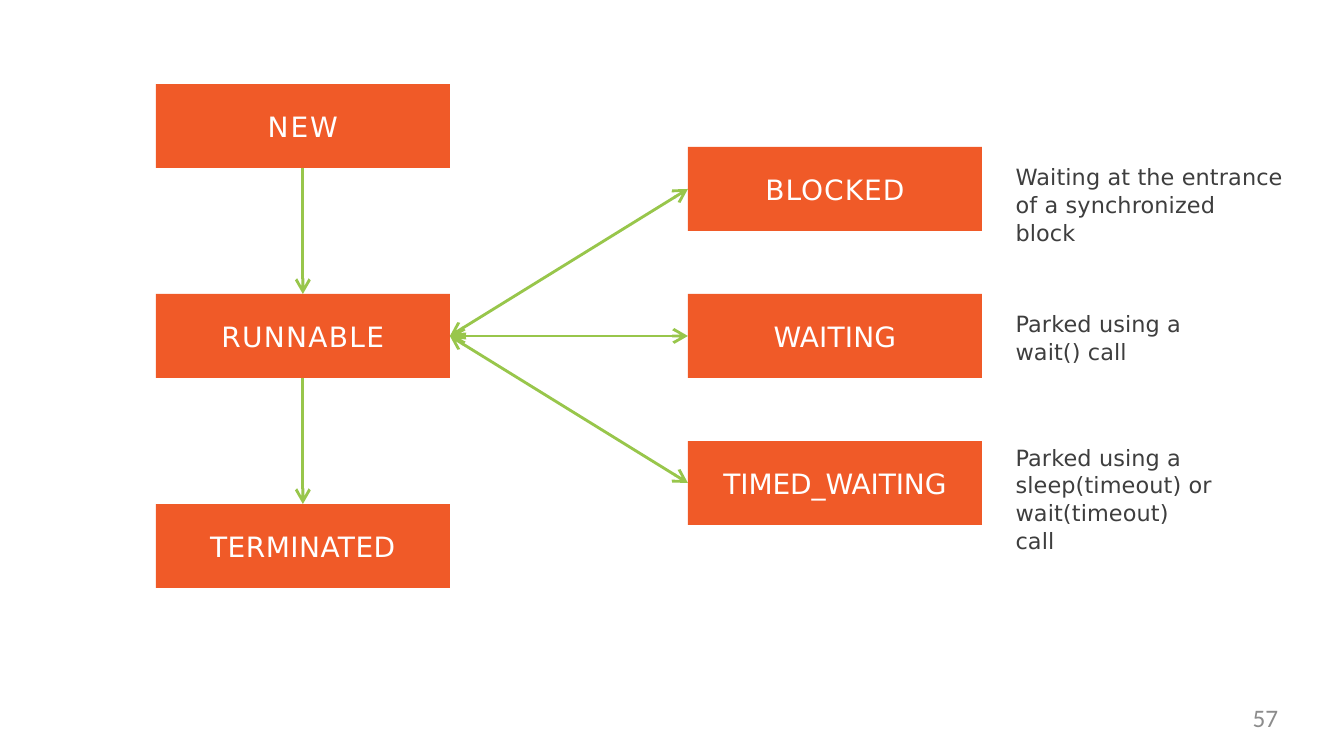
import pptx
import pptx.dml.color
import pptx.enum.shapes
import pptx.enum.text
import pptx.oxml.xmlchemy
import pptx.util

ROWS = 36  # the slide is a grid of 64 by 36 square cells
ALIGN = pptx.enum.text.PP_ALIGN
ANCHOR = pptx.enum.text.MSO_ANCHOR
TOP, LEFT, BOTTOM, RIGHT = range(4)  # connection sites of a rectangle


def color(hex_code):
    return pptx.dml.color.RGBColor.from_string(hex_code)


def write(shape, text, size=16, hex_code="3E3E3E", font="DejaVu Sans",
          align=ALIGN.LEFT, anchor=ANCHOR.TOP, tracking=0, leading=1.0):
    """Fill the shape with one paragraph; tracking is in points."""
    frame = shape.text_frame
    frame.word_wrap = True
    frame.vertical_anchor = anchor
    frame.margin_left = frame.margin_right = 0
    frame.margin_top = frame.margin_bottom = 0
    paragraph = frame.paragraphs[0]
    paragraph.text = text
    paragraph.alignment = align
    paragraph.line_spacing = leading
    for run in paragraph.runs:
        run.font.name = font
        run.font.size = pptx.util.Pt(size)
        run.font.color.rgb = color(hex_code)
        run.font._element.set("spc", str(round(tracking * 100)))


class StateDiagram:
    box_fill = "F05A28"
    arrow_color = "98C64B"
    box_size = (14, 4)

    def __init__(self, deck):
        self.slide = deck.slides.add_slide(deck.slide_layouts[6])
        self.cell = deck.slide_height / ROWS

    def lengths(self, *cells):
        return [pptx.util.Emu(round(count * self.cell)) for count in cells]

    def state(self, name, column, row, tracking):
        box = self.slide.shapes.add_shape(
            pptx.enum.shapes.MSO_SHAPE.RECTANGLE,
            *self.lengths(column, row, *self.box_size))
        box.shadow.inherit = False
        box.fill.solid()
        box.fill.fore_color.rgb = color(self.box_fill)
        box.line.fill.background()
        write(box, name, size=20, hex_code="FFFFFF", align=ALIGN.CENTER,
              anchor=ANCHOR.MIDDLE, tracking=tracking)
        return box

    def label(self, text, column, row, width, height, **text_format):
        box = self.slide.shapes.add_textbox(
            *self.lengths(column, row, width, height))
        write(box, text, **text_format)

    def arrow(self, source, source_site, target, target_site, both_ways=False):
        arrow = self.slide.shapes.add_connector(
            pptx.enum.shapes.MSO_CONNECTOR.STRAIGHT, 0, 0, 0, 0)
        arrow.begin_connect(source, source_site)
        arrow.end_connect(target, target_site)
        arrow.line.color.rgb = color(self.arrow_color)
        arrow.line.width = pptx.util.Pt(2.04)
        line = arrow.line._get_or_add_ln()
        for end in ("a:headEnd", "a:tailEnd") if both_ways else ("a:tailEnd",):
            tip = pptx.oxml.xmlchemy.OxmlElement(end)
            for key, value in (("type", "arrow"), ("w", "lg"), ("len", "lg")):
                tip.set(key, value)
            line.append(tip)
        line.addnext(pptx.oxml.xmlchemy.OxmlElement("a:effectLst"))


def main():
    deck = pptx.Presentation()
    deck.slide_width = pptx.util.Inches(13.33)
    deck.slide_height = pptx.util.Inches(7.5)
    diagram = StateDiagram(deck)

    lifecycle_column, waiting_column, note_column = 7.42, 32.75, 48.35
    new, runnable, terminated = [
        diagram.state(name, lifecycle_column, row, tracking)
        for name, row, tracking in (("NEW", 4, 1.4), ("RUNNABLE", 14, 0.9),
                                    ("TERMINATED", 24, 0.3))]
    diagram.arrow(new, BOTTOM, runnable, TOP)
    diagram.arrow(runnable, BOTTOM, terminated, TOP)

    waiting_states = (
        ("BLOCKED", 7, 0.7, 7.75,
         ("Waiting at the entrance", "of a synchronized", "block")),
        ("WAITING", 14, 0.1, 14.75, ("Parked using a", "wait() call")),
        ("TIMED_WAITING", 21, -0.1, 21.1,
         ("Parked using a", "sleep(timeout) or", "wait(timeout)", "call")),
    )
    for name, row, tracking, note_row, note_lines in waiting_states:
        waiting = diagram.state(name, waiting_column, row, tracking)
        diagram.arrow(runnable, RIGHT, waiting, LEFT, both_ways=True)
        diagram.label("\v".join(note_lines), note_column, note_row, 13.5,
                      1.3 * len(note_lines), tracking=0.1, leading=1.03)

    diagram.label("57", 46.1, 33.45, 14.75, 1.8, size=18, hex_code="8C8C8C",
                  font="Calibri", align=ALIGN.RIGHT)
    deck.save("out.pptx")


if __name__ == "__main__":
    main()
